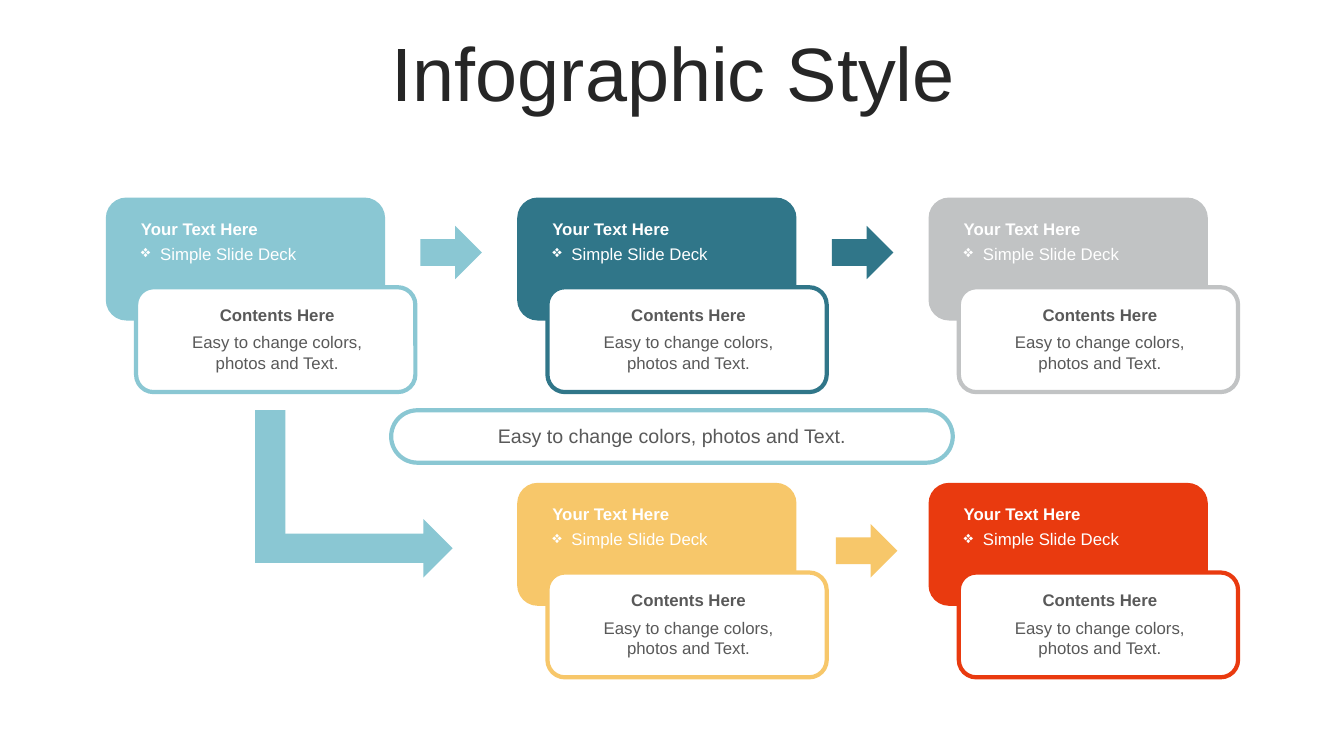
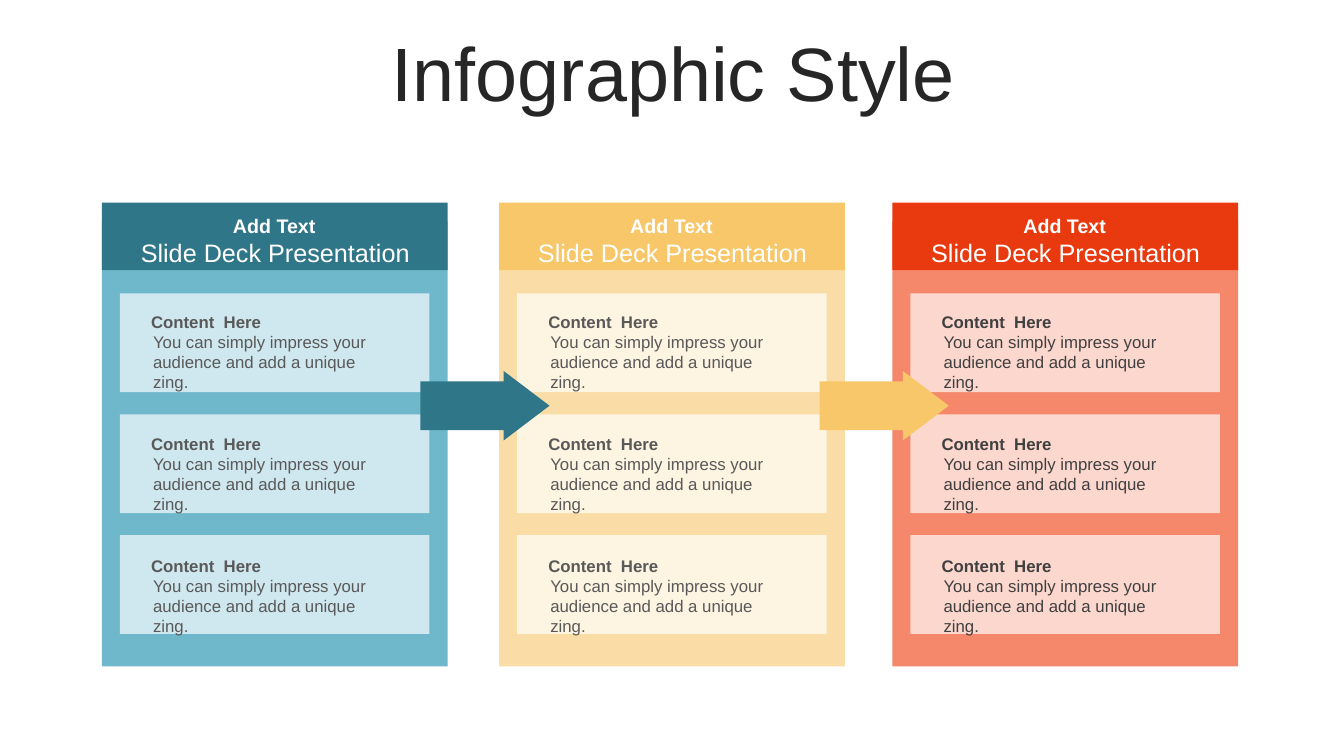
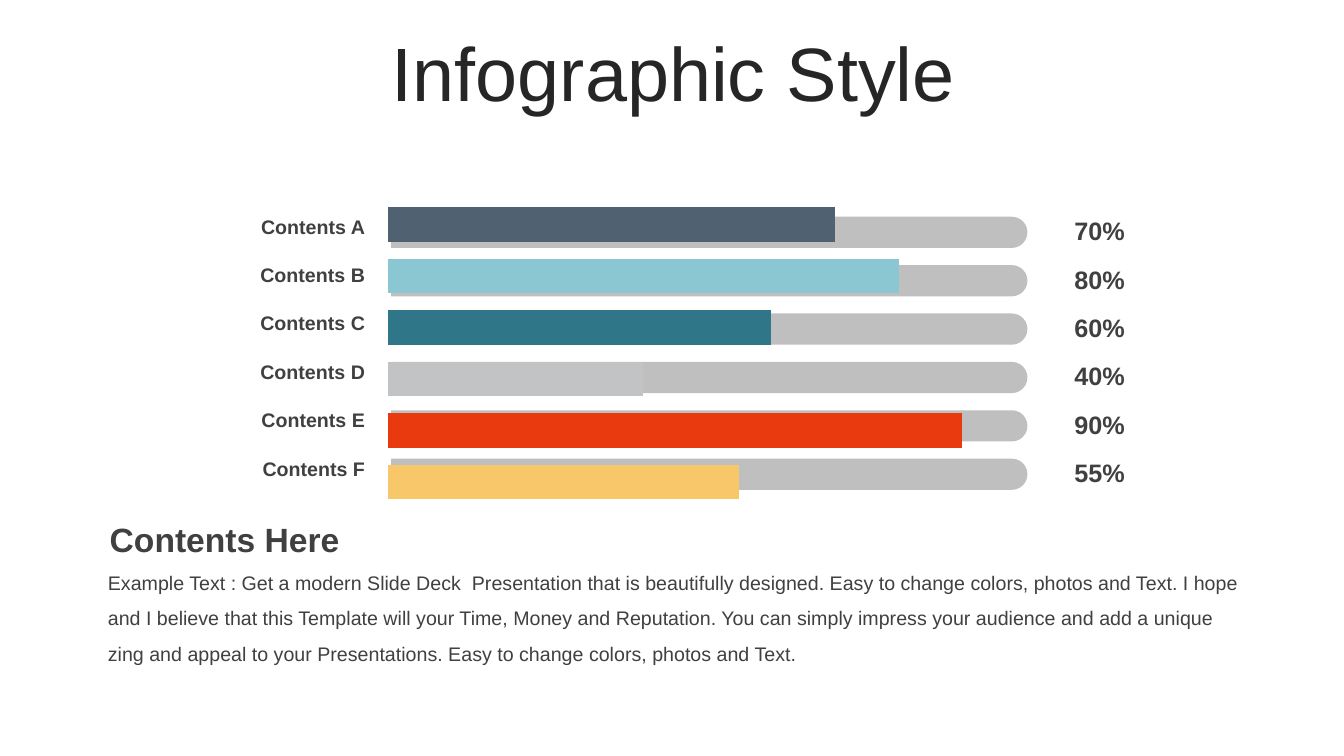
"""Build three infographic slides: process cards, stage panels and a progress chart."""
from dataclasses import dataclass

from lxml.etree import SubElement
from pptx import Presentation
from pptx.chart.data import CategoryChartData
from pptx.dml.color import RGBColor
from pptx.enum.chart import XL_CHART_TYPE as ChartType
from pptx.enum.shapes import MSO_SHAPE as Preset
from pptx.enum.text import MSO_ANCHOR as Anchor, MSO_AUTO_SIZE as AutoSize, PP_ALIGN as Align
from pptx.oxml import parse_xml
from pptx.oxml.ns import nsdecls, qn
from pptx.shapes.autoshape import Shape
from pptx.slide import Slide
from pptx.text.text import _Paragraph as Paragraph
from pptx.util import Inches, Pt


@dataclass(frozen=True)
class Theme:
    font: str = "Arial"
    white: str = "FFFFFF"
    black: str = "000000"
    title: str = "262626"
    dark: str = "404040"
    body: str = "595959"
    track: str = "BFBFBF"
    sky: str = "8AC7D3"
    teal: str = "307689"
    silver: str = "C1C3C4"
    amber: str = "F7C76A"
    red: str = "E93A0F"
    slate: str = "506272"
    title_size: int = 54
    heading_size: int = 24
    large_size: int = 18
    medium_size: int = 14
    small_size: int = 12


THEME = Theme()


@dataclass(frozen=True)
class Box:
    left: float
    top: float
    width: float
    height: float

    def lengths(self) -> tuple[int, int, int, int]:
        return Inches(self.left), Inches(self.top), Inches(self.width), Inches(self.height)


@dataclass(frozen=True)
class TextStyle:
    size: int
    color: str
    bold: bool = False
    align: Align = Align.LEFT
    anchor: Anchor = Anchor.TOP
    bullet: str = ""
    line_spacing: float = 1.0
    side_inset: float = 0.1


@dataclass(frozen=True)
class Card:
    column: int
    row: int
    color: str


@dataclass(frozen=True)
class Arrow:
    box: Box
    color: str


@dataclass(frozen=True)
class Panel:
    left: float
    header_color: str
    panel_color: str
    item_color: str
    text_color: str


@dataclass(frozen=True)
class Progress:
    label: str
    percent: int
    color: str


CARDS = (
    Card(0, 0, THEME.sky),
    Card(1, 0, THEME.teal),
    Card(2, 0, THEME.silver),
    Card(1, 1, THEME.amber),
    Card(2, 1, THEME.red),
)
CARD_ARROWS = (
    Arrow(Box(4.17, 2.24, 0.61, 0.53), THEME.sky),
    Arrow(Box(8.25, 2.24, 0.61, 0.53), THEME.teal),
    Arrow(Box(8.29, 5.2, 0.61, 0.53), THEME.amber),
    Arrow(Box(2.53, 5.15, 1.96, 0.58), THEME.sky),
)
PANELS = (
    Panel(1.01, THEME.teal, "6FB8CC", "CFE7EE", THEME.body),
    Panel(4.95, THEME.amber, "FADDA6", "FDF4E1", THEME.body),
    Panel(8.85, THEME.red, "F5876B", "FCD7CE", THEME.dark),
)
PANEL_ARROWS = (
    Arrow(Box(4.17, 3.68, 1.28, 0.69), THEME.teal),
    Arrow(Box(8.13, 3.68, 1.28, 0.69), THEME.amber),
)
PROGRESS = (
    Progress("Contents A", 70, THEME.slate),
    Progress("Contents B", 80, THEME.sky),
    Progress("Contents C", 60, THEME.teal),
    Progress("Contents D", 40, THEME.silver),
    Progress("Contents E", 90, THEME.red),
    Progress("Contents F", 55, THEME.amber),
)
EASY_TEXT = "Easy to change colors, photos and Text."
ITEM_TEXT = "You can simply impress your audience and add a unique zing."
EXAMPLE_TEXT = (
    "Example Text : Get a modern Slide Deck  Presentation that is beautifully designed. "
    "Easy to change colors, photos and Text. I hope and I believe that this Template will "
    "your Time, Money and Reputation. You can simply impress your audience and add a unique "
    "zing and appeal to your Presentations. Easy to change colors, photos and Text."
)


def add_bullet(paragraph: Paragraph, character: str) -> None:
    properties = paragraph._p.get_or_add_pPr()
    indent = Inches(0.19)
    properties.set("marL", str(indent))
    properties.set("indent", str(-indent))
    SubElement(properties, qn("a:buChar")).set("char", character)


def write_text(shape: Shape, text: str, style: TextStyle) -> None:
    frame = shape.text_frame
    frame.text = text
    frame.word_wrap = True
    frame.auto_size = AutoSize.NONE
    frame.vertical_anchor = style.anchor
    frame.margin_left = frame.margin_right = Inches(style.side_inset)
    paragraph = frame.paragraphs[0]
    paragraph.alignment = style.align
    paragraph.line_spacing = style.line_spacing
    paragraph.space_before = Pt(0)
    if style.bullet:
        add_bullet(paragraph, style.bullet)
    font = paragraph.font
    font.name = THEME.font
    font.size = Pt(style.size)
    font.bold = style.bold
    font.color.rgb = RGBColor.from_string(style.color)


def add_text(slide: Slide, box: Box, text: str, style: TextStyle) -> None:
    write_text(slide.shapes.add_textbox(*box.lengths()), text, style)


def add_block(slide: Slide, box: Box, fill: str, preset: Preset = Preset.RECTANGLE,
              line: str = "", adjustments: tuple[float, ...] = ()) -> Shape:
    shape = slide.shapes.add_shape(preset, *box.lengths())
    shape.shadow.inherit = False
    shape.fill.solid()
    shape.fill.fore_color.rgb = RGBColor.from_string(fill)
    if line:
        shape.line.color.rgb = RGBColor.from_string(line)
        shape.line.width = Pt(3)
    else:
        shape.line.fill.background()
    for index, value in enumerate(adjustments):
        shape.adjustments[index] = value
    return shape


def add_titled_slide(presentation: Presentation) -> Slide:
    slide = presentation.slides.add_slide(presentation.slide_layouts[5])
    title = slide.shapes.title
    title.left, title.top, title.width, title.height = Box(0.35, 0.37, 12.66, 0.79).lengths()
    write_text(title, "Infographic Style", TextStyle(
        THEME.title_size, THEME.title, align=Align.CENTER, anchor=Anchor.MIDDLE, line_spacing=0.9))
    return slide


def add_card(slide: Slide, card: Card) -> None:
    left = 1.05 + 4.08 * card.column
    top = 1.96 + 2.83 * card.row
    size = THEME.small_size
    add_block(slide, Box(left, top, 2.77, 1.22), card.color, Preset.ROUNDED_RECTANGLE)
    add_block(slide, Box(left + 0.3, top + 0.89, 2.77, 1.04), THEME.white,
              Preset.ROUNDED_RECTANGLE, card.color)
    add_text(slide, Box(left + 0.25, top + 0.16, 2.34, 0.3), "Your Text Here",
             TextStyle(size, THEME.white, bold=True, anchor=Anchor.MIDDLE))
    add_text(slide, Box(left + 0.25, top + 0.41, 2.34, 0.3), "Simple Slide Deck",
             TextStyle(size, THEME.white, anchor=Anchor.MIDDLE, bullet="❖"))
    add_text(slide, Box(left + 0.57, top + 1.02, 2.26, 0.28), "Contents Here",
             TextStyle(size, THEME.body, True, Align.CENTER, Anchor.MIDDLE))
    add_text(slide, Box(left + 0.57, top + 1.32, 2.26, 0.43), EASY_TEXT,
             TextStyle(size, THEME.body, False, Align.CENTER, Anchor.MIDDLE))


def build_cards(presentation: Presentation) -> None:
    slide = add_titled_slide(presentation)
    for card in CARDS:
        add_card(slide, card)
    for arrow in CARD_ARROWS:
        add_block(slide, arrow.box, arrow.color, Preset.RIGHT_ARROW)
    add_block(slide, Box(2.53, 4.07, 0.3, 1.37), THEME.sky)
    add_block(slide, Box(3.88, 4.07, 5.57, 0.52), THEME.white,
              Preset.ROUNDED_RECTANGLE, THEME.sky, (0.5,))
    add_text(slide, Box(4.8, 4.18, 3.73, 0.29), EASY_TEXT,
             TextStyle(THEME.medium_size, THEME.body, False, Align.CENTER, Anchor.MIDDLE))


def add_panel(slide: Slide, panel: Panel) -> None:
    left = panel.left
    add_block(slide, Box(left, 2.19, 3.43, 4.42), panel.panel_color)
    add_block(slide, Box(left, 2.01, 3.43, 0.67), panel.header_color)
    add_text(slide, Box(left + 0.2, 2.07, 3.02, 0.34), "Add Text",
             TextStyle(THEME.medium_size, THEME.white, True, Align.CENTER))
    add_text(slide, Box(left + 0.21, 2.31, 3.02, 0.3), "Slide Deck Presentation",
             TextStyle(THEME.large_size, THEME.white, False, Align.CENTER))
    for row in range(3):
        offset = 1.21 * row
        add_block(slide, Box(left + 0.18, 2.91 + 1.2 * row, 3.07, 0.98), panel.item_color)
        add_text(slide, Box(left + 0.39, 3.04 + offset, 2.64, 0.3), "Content  Here",
                 TextStyle(THEME.small_size, panel.text_color, bold=True))
        add_text(slide, Box(left + 0.41, 3.24 + offset, 2.6, 0.5), ITEM_TEXT,
                 TextStyle(THEME.small_size, panel.text_color))


def build_panels(presentation: Presentation) -> None:
    slide = add_titled_slide(presentation)
    for panel in PANELS:
        add_panel(slide, panel)
    for arrow in PANEL_ARROWS:
        add_block(slide, arrow.box, arrow.color, Preset.RIGHT_ARROW, adjustments=(0.7, 0.66))


def add_progress_row(slide: Slide, row: int, progress: Progress) -> None:
    offset = 0.48 * row
    track = add_block(slide, Box(6.88, -0.85 + offset, 0.31, 6.31), THEME.track,
                      Preset.ROUND_2_SAME_RECTANGLE, adjustments=(0.5, 0))
    track.rotation = 90
    add_text(slide, Box(2.07, 2.08 + offset, 1.65, 0.34), progress.label,
             TextStyle(THEME.medium_size, THEME.dark, True, Align.RIGHT))
    add_text(slide, Box(10.55, 2.09 + offset, 0.71, 0.4), f"{progress.percent}%",
             TextStyle(THEME.large_size, THEME.dark, True, Align.CENTER))


def add_progress_chart(slide: Slide) -> None:
    bars = PROGRESS[::-1]
    data = CategoryChartData()
    data.categories = [bar.label for bar in bars]
    data.add_series("Series 1", [bar.percent for bar in bars])
    box = Box(3.72, 1.91, 6.59, 3.19)
    chart = slide.shapes.add_chart(ChartType.BAR_STACKED, *box.lengths(), data).chart
    chart.has_title = False
    chart.has_legend = False
    chart.font.name = THEME.font
    chart.font.size = Pt(THEME.large_size)
    chart.font.color.rgb = RGBColor.from_string(THEME.black)
    for axis in (chart.category_axis, chart.value_axis):
        axis.has_major_gridlines = False
        axis.visible = False
    chart.value_axis.minimum_scale = 0
    chart.value_axis.maximum_scale = 100
    plot = chart.plots[0]
    plot.vary_by_categories = False
    plot.gap_width = 49
    plot.overlap = 100
    for index, bar in enumerate(bars):
        fill = plot.series[0].points[index].format.fill
        fill.solid()
        fill.fore_color.rgb = RGBColor.from_string(bar.color)
    no_fill = f'<c:spPr {nsdecls("c", "a")}><a:noFill/><a:ln><a:noFill/></a:ln></c:spPr>'
    chart_element = chart._chartSpace.find(qn("c:chart"))
    chart_element.addnext(parse_xml(no_fill))
    chart_element.find(qn("c:plotArea")).append(parse_xml(no_fill))


def build_progress(presentation: Presentation) -> None:
    slide = add_titled_slide(presentation)
    add_text(slide, Box(0.99, 5.1, 11.5, 0.5), "Contents Here",
             TextStyle(THEME.heading_size, THEME.dark, bold=True))
    add_text(slide, Box(0.99, 5.5, 11.5, 1.12), EXAMPLE_TEXT,
             TextStyle(THEME.medium_size, THEME.dark, line_spacing=1.5, side_inset=0.08))
    for row, progress in enumerate(PROGRESS):
        add_progress_row(slide, row, progress)
    add_progress_chart(slide)


def main() -> None:
    presentation = Presentation()
    presentation.slide_width = Inches(13.33)
    presentation.slide_height = Inches(7.5)
    build_cards(presentation)
    build_panels(presentation)
    build_progress(presentation)
    presentation.save("out.pptx")


if __name__ == "__main__":
    main()
